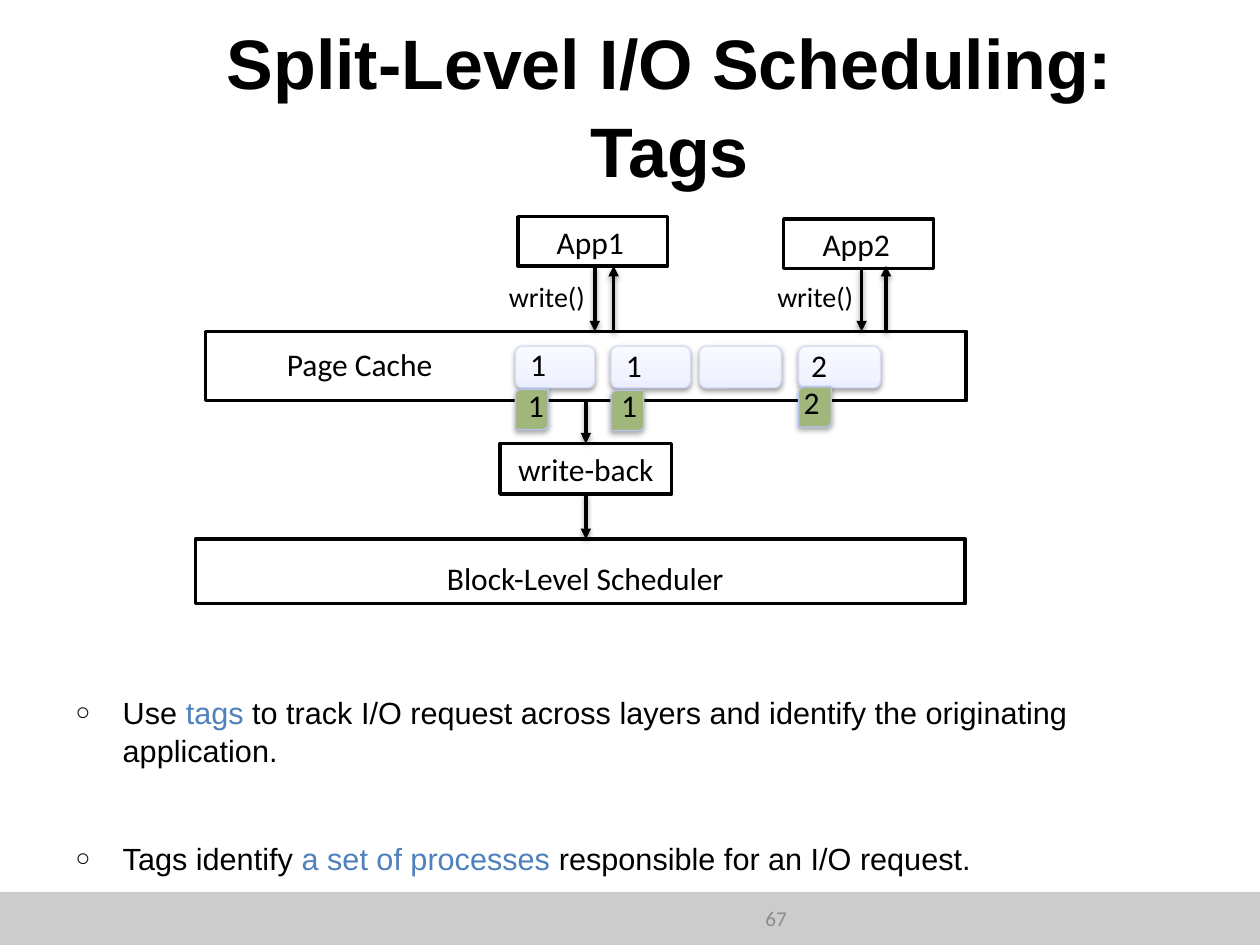
import copy
from dataclasses import dataclass
from typing import Any, NamedTuple, Optional

import lxml.etree
import pptx
import pptx.dml.color
import pptx.enum.dml
import pptx.enum.shapes
import pptx.enum.text
import pptx.oxml.ns
import pptx.util

Cm, Pt = pptx.util.Cm, pptx.util.Pt
qn = pptx.oxml.ns.qn
ALIGN = pptx.enum.text.PP_ALIGN
ANCHOR = pptx.enum.text.MSO_ANCHOR
SHAPE = pptx.enum.shapes.MSO_SHAPE


@dataclass(frozen=True)
class Theme:
    heading_font: str = "Arial"
    label_font: str = "Calibri"
    ink: str = "000000"
    paper: str = "FFFFFF"
    accent: str = "4F81BD"
    bar: str = "CCCCCC"
    muted: str = "8C8C8C"
    tag: str = "A1B67A"
    tag_line: str = "BAC4F2"
    page_line: str = "D6DCF5"
    page_stops: tuple = ((0, "ECEFFF"), (0.35, "F1F3FF"), (1, "F9FAFF"))
    title_size: float = 40
    list_size: float = 17.5
    label_size: float = 18
    call_size: float = 16
    number_size: float = 12
    outline: float = 2
    thin_outline: float = 0.75


THEME = Theme()


class Area(NamedTuple):
    left: float
    top: float
    width: float
    height: float

    def lengths(self) -> list:
        return [Cm(value) for value in self]


@dataclass(frozen=True)
class App:
    name: str
    left: float
    top: float
    call_left: float
    down_x: float
    up_x: float


@dataclass(frozen=True)
class CachePage:
    left: float
    width: float
    owner: str = ""
    owner_left: float = 0
    owner_top: float = 6.86
    tag_top: float = 0
    tag_text_left: float = 0
    tag_text_top: float = 7.65


APPS = [App("App1", 10.44, 4.37, 10.01, 11.99, 12.37),
        App("App2", 15.8, 4.42, 15.42, 17.37, 17.86)]
CACHE_PAGES = [
    CachePage(10.39, 1.6, "1", 10.44, 6.83, 7.85, 10.39),
    CachePage(12.32, 1.6, "1", 12.37, 6.86, 7.87, 12.27),
    CachePage(14.1, 1.65),
    CachePage(16.1, 1.65, "2", 16.1, 6.86, 7.8, 15.95, 7.59),
]
CACHE = Area(4.14, 6.68, 15.34, 1.4)
WRITE_BACK = Area(10.08, 8.94, 3.46, 1.02)
SCHEDULER = Area(3.94, 10.87, 15.52, 1.3)
APP_HEIGHT = 0.99
LABEL_HEIGHT = 1.02

# Each bullet is a list of (text, colour) pieces.
BULLETS = [
    [("Use ", THEME.ink), ("tags", THEME.accent),
     (" to track I/O request across layers and identify the originating application.", THEME.ink)],
    [("Tags identify ", THEME.ink), ("a set of processes ", THEME.accent),
     ("responsible for an I/O request.", THEME.ink)],
]


def rgb(code: str) -> Any:
    return pptx.dml.color.RGBColor.from_string(code)


def apply(target: Any, values: dict) -> None:
    for name, value in values.items():
        setattr(target, name, value)


def write(para: Any, text: str, size: float, color: str = THEME.ink,
          font: str = THEME.label_font, bold: bool = False) -> None:
    span = para.add_run()
    span.text = text
    apply(span.font, {"name": font, "size": Pt(size), "bold": bold})
    span.font.color.rgb = rgb(color)


def add_label(slide: Any, area: Area, text: str, align: Any = ALIGN.CENTER,
              size: float = THEME.label_size, color: str = THEME.ink,
              wrap: bool = True, anchor: Any = ANCHOR.TOP) -> None:
    box = slide.shapes.add_textbox(*area.lengths())
    apply(box.text_frame, {"word_wrap": wrap, "vertical_anchor": anchor})
    para = box.text_frame.paragraphs[0]
    para.alignment = align
    write(para, text, size, color)


def add_box(slide: Any, area: Area, kind: Any = SHAPE.RECTANGLE,
            fill: Optional[str] = THEME.paper, line: Optional[str] = THEME.ink,
            width: float = THEME.outline) -> Any:
    box = slide.shapes.add_shape(kind, *area.lengths())
    box.shadow.inherit = False
    if fill:
        box.fill.solid()
        box.fill.fore_color.rgb = rgb(fill)
    else:
        box.fill.background()
    if line:
        box.line.color.rgb = rgb(line)
        box.line.width = Pt(width)
    else:
        box.line.fill.background()
    return box


def add_shadow(drawn: Any, opacity: int) -> None:
    """Give a shape or connector a soft shadow straight below it."""
    properties = drawn._element.spPr
    effects = properties.find(qn("a:effectLst"))
    if effects is None:
        effects = lxml.etree.SubElement(properties, qn("a:effectLst"))
    shadow = lxml.etree.SubElement(effects, qn("a:outerShdw"), blurRad="40000",
                                   dist="20000", dir="5400000", rotWithShape="0")
    color = lxml.etree.SubElement(shadow, qn("a:srgbClr"), val=THEME.ink)
    lxml.etree.SubElement(color, qn("a:alpha"), val=str(opacity * 1000))


def add_arrow(slide: Any, x: float, start: float, end: float,
              source: Any = None, target: Any = None) -> None:
    """Draw a vertical arrow, joined to the bottom of source and top of target."""
    arrow = slide.shapes.add_connector(pptx.enum.shapes.MSO_CONNECTOR.STRAIGHT,
                                       Cm(x), Cm(start), Cm(x), Cm(end))
    if source is not None:
        arrow.begin_connect(source, 2)
    if target is not None:
        arrow.end_connect(target, 0)
    arrow.line.color.rgb = rgb(THEME.ink)
    arrow.line.width = Pt(THEME.outline)
    lxml.etree.SubElement(arrow.line._get_or_add_ln(), qn("a:tailEnd"), type="triangle")
    add_shadow(arrow, 38)


def add_app(slide: Any, app: App) -> None:
    bottom = app.top + APP_HEIGHT
    add_box(slide, Area(app.left, app.top, 3.02, APP_HEIGHT))
    add_label(slide, Area(app.left - 0.05, app.top, 3.02, LABEL_HEIGHT), app.name)
    add_label(slide, Area(app.call_left, 5.51, 2.2, 0.89), "write()",
              ALIGN.LEFT, THEME.call_size)
    add_arrow(slide, app.down_x, bottom, CACHE.top)
    add_arrow(slide, app.up_x, CACHE.top, 5.36)


def add_cache_page(slide: Any, page: CachePage) -> None:
    """Draw a cached page and, if it has an owner, its number and tag."""
    box = add_box(slide, Area(page.left, 6.98, page.width, 0.84), SHAPE.ROUNDED_RECTANGLE,
                  line=THEME.page_line, width=THEME.thin_outline)
    box.fill.gradient()
    box.fill.gradient_angle = 90
    stop_list = box._element.spPr.find(".//" + qn("a:gsLst"))
    stop_list.append(copy.deepcopy(stop_list[0]))
    for stop, (position, color) in zip(box.fill.gradient_stops, THEME.page_stops):
        stop.position = position
        stop.color.rgb = rgb(color)
    add_shadow(box, 38)
    if page.owner:
        tag = add_box(slide, Area(page.left, page.tag_top, 0.66, 0.81),
                      SHAPE.ROUND_2_DIAG_RECTANGLE, THEME.tag, THEME.tag_line,
                      THEME.thin_outline)
        add_shadow(tag, 35)
        for left, top in ((page.owner_left, page.owner_top),
                          (page.tag_text_left, page.tag_text_top)):
            add_label(slide, Area(left, top, 0.84, LABEL_HEIGHT), page.owner,
                      ALIGN.LEFT, wrap=False)


def place(holder: Any, area: Area, anchor: Any) -> Any:
    apply(holder, dict(zip(("left", "top", "width", "height"), area.lengths())))
    apply(holder.text_frame, {"word_wrap": True, "vertical_anchor": anchor,
                              "auto_size": pptx.enum.text.MSO_AUTO_SIZE.NONE})
    return holder.text_frame


def add_bullet(para: Any) -> None:
    properties = para._p.get_or_add_pPr()
    apply_indent = {"marL": str(Cm(0.95)), "indent": str(-Cm(0.95))}
    for name, value in apply_indent.items():
        properties.set(name, value)
    color = lxml.etree.SubElement(properties, qn("a:buClr"))
    lxml.etree.SubElement(color, qn("a:srgbClr"), val=THEME.ink)
    lxml.etree.SubElement(properties, qn("a:buSzPct"), val="80000")
    lxml.etree.SubElement(properties, qn("a:buFont"), typeface=THEME.heading_font)
    lxml.etree.SubElement(properties, qn("a:buChar"), char="○")


def fill_placeholders(slide: Any) -> None:
    title = place(slide.shapes.title, Area(2.69, 0.84, 21.62, 2.49), ANCHOR.MIDDLE)
    apply(title.paragraphs[0], {"alignment": ALIGN.CENTER, "line_spacing": 1.05})
    write(title.paragraphs[0], "Split-Level I/O Scheduling: Tags", THEME.title_size,
          font=THEME.heading_font, bold=True)
    body = place(slide.placeholders[1], Area(1.27, 13.82, 22.86, 4.17), ANCHOR.TOP)
    for index, pieces in enumerate(BULLETS):
        para = body.add_paragraph() if index else body.paragraphs[0]
        add_bullet(para)
        apply(para, {"line_spacing": 1.05, "space_before": Pt(3.5 if index else 0),
                     "space_after": Pt(36)})
        for text, color in pieces:
            write(para, text, THEME.list_size, color, THEME.heading_font)


def main() -> None:
    deck = pptx.Presentation()
    apply(deck, {"slide_width": Cm(25.4), "slide_height": Cm(19.05)})
    slide = deck.slides.add_slide(deck.slide_layouts[1])
    fill_placeholders(slide)
    add_box(slide, Area(0, 17.98, 25.4, 1.07), fill=THEME.bar, line=None)
    add_label(slide, Area(10.19, 18.08, 5.92, 0.84), "67", ALIGN.RIGHT,
              THEME.number_size, THEME.muted, anchor=ANCHOR.MIDDLE)

    cache = add_box(slide, CACHE)
    add_label(slide, Area(4.09, 6.83, 6.32, LABEL_HEIGHT), "Page Cache")
    for page in CACHE_PAGES:
        add_cache_page(slide, page)
    for app in APPS:
        add_app(slide, app)

    add_box(slide, SCHEDULER)
    add_label(slide, Area(8.18, 11.15, 7.24, LABEL_HEIGHT), "Block-Level Scheduler")
    write_back = add_box(slide, WRITE_BACK, fill=None)
    write(write_back.text_frame.paragraphs[0], "write-back", THEME.label_size)
    center = WRITE_BACK.left + WRITE_BACK.width / 2
    add_arrow(slide, center, CACHE.top + CACHE.height, WRITE_BACK.top, cache, write_back)
    add_arrow(slide, center, WRITE_BACK.top + WRITE_BACK.height, SCHEDULER.top, write_back)
    deck.save("out.pptx")


if __name__ == "__main__":
    main()
